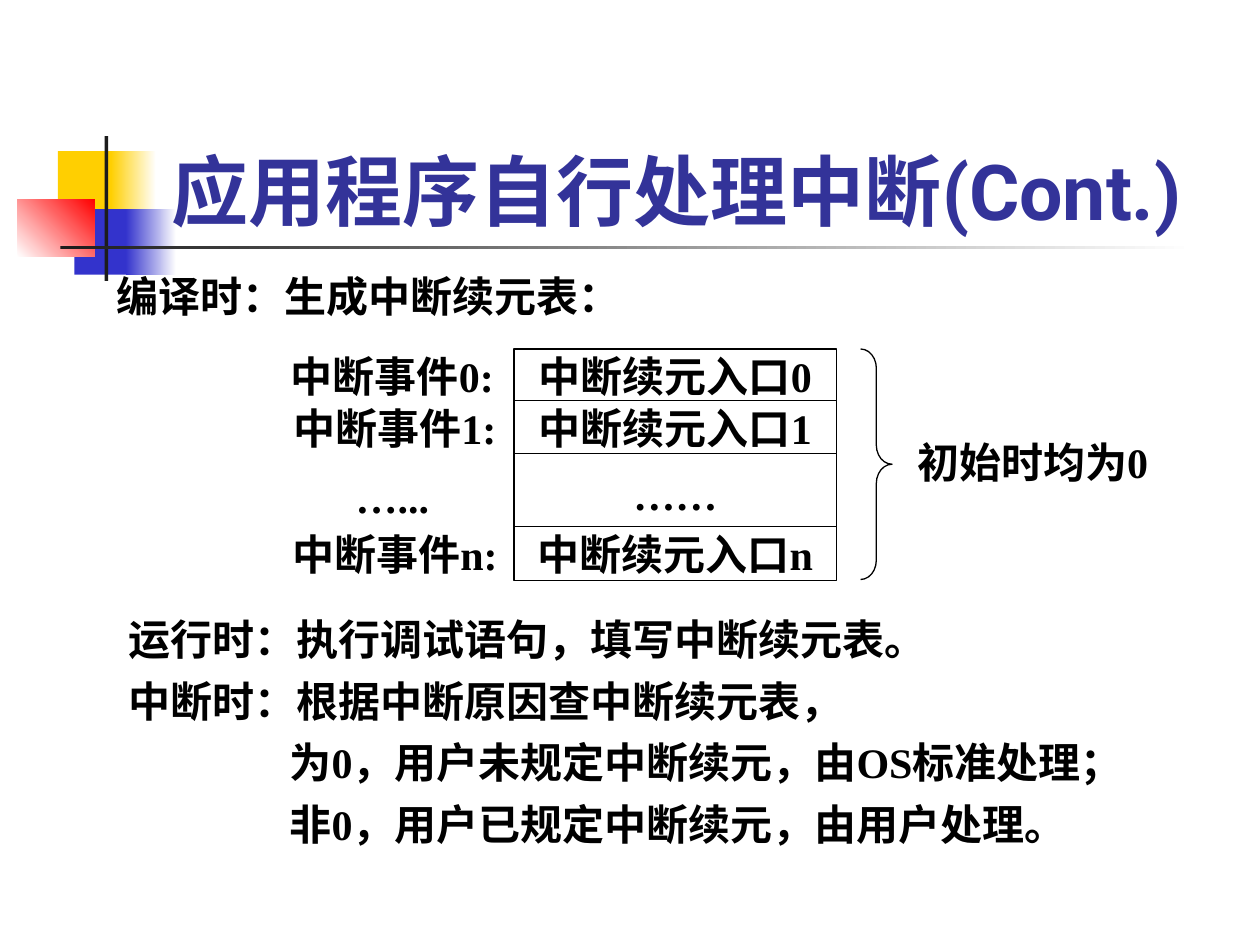
from pptx import Presentation
from pptx.dml.color import RGBColor
from pptx.enum.shapes import MSO_SHAPE as Preset
from pptx.enum.text import MSO_ANCHOR as Anchor, MSO_AUTO_SIZE as AutoSize, PP_ALIGN as Align
from pptx.util import Inches, Pt

WIDTH, HEIGHT = Inches(10), Inches(7.5)
COLUMNS, ROWS = 1000, 750
BLACK, WHITE, YELLOW, BLUE, RED, DARK = "000000", "FFFFFF", "FFCF01", "3333CC", "FF0000", "1C1C1C"
BODY = {"name": "Times New Roman", "size": Pt(24), "bold": True}
HEADING = {"name": "Roboto", "size": Pt(44), "bold": True}
CENTRED = {"vertical_anchor": Anchor.MIDDLE, "word_wrap": False}
FLOWING = {"vertical_anchor": Anchor.TOP, "word_wrap": True, "auto_size": AutoSize.SHAPE_TO_FIT_TEXT}
TITLE_FRAME = {"vertical_anchor": Anchor.BOTTOM, "word_wrap": True, "auto_size": AutoSize.NONE}

ORNAMENTS = [
    ((46, 120, 48, 52), (YELLOW,), 0),
    ((88, 120, 36, 52), (YELLOW, WHITE), 0),
    ((59, 166, 46, 52), (BLUE,), 0),
    ((100, 166, 40, 52), (BLUE, WHITE), 0),
    ((14, 158, 61, 46), (WHITE, RED), 45),
    ((83, 108, 3, 115), (DARK,), 0),
    ((48, 195, 900, 3), (DARK, WHITE), 0),
]
ENTRIES = [
    (277, 43, "中断续元入口0"),
    (318, 43, "中断续元入口1"),
    (360, 63, "……"),
    (418, 43, "中断续元入口n"),
]
EVENTS = [
    (223, 277, 43, "中断事件0:"),
    (225, 318, 43, "中断事件1:"),
    (225, 418, 43, "中断事件n:"),
    (223, 371, 47, "…..."),
]
STEPS = [
    ("运行时：执行调试语句，填写中断续元表。", 0),
    ("中断时：根据中断原因查中断续元表，", 0),
    ("为0，用户未规定中断续元，由OS标准处理；", 128),
    ("非0，用户已规定中断续元，由用户处理。", 128),
]


def rgb(code):
    """Turn a hex string into a colour."""
    return RGBColor.from_string(code)


def assign(target, values):
    """Set every attribute named in a dict of format values."""
    for name, value in values.items():
        setattr(target, name, value)


def across(columns):
    """Convert grid columns to a length."""
    return int(WIDTH * columns / COLUMNS)


def cell(left, top, width, height):
    """Convert a grid area to left, top, width and height."""
    return (across(left), int(HEIGHT * top / ROWS),
            across(width), int(HEIGHT * height / ROWS))


def add_block(slide, area, colours=(WHITE,), angle=0, outline=None, preset=Preset.RECTANGLE):
    """Add a preset shape with a solid or two-colour gradient fill."""
    block = slide.shapes.add_shape(preset, *cell(*area))
    block.shadow.inherit = False
    if len(colours) == 1:
        block.fill.solid()
        block.fill.fore_color.rgb = rgb(colours[0])
    else:
        block.fill.gradient()
        block.fill.gradient_angle = angle
        for stop, colour in zip(block.fill.gradient_stops, colours):
            stop.color.rgb = rgb(colour)
    if outline:
        block.line.color.rgb = rgb(outline)
        block.line.width = Pt(0.75)
    else:
        block.line.fill.background()
    return block


def write(holder, lines, frame_format, paragraph_format, font=BODY, colour=BLACK):
    """Write lines of (text, indent in columns) into a shape."""
    frame = holder.text_frame
    assign(frame, frame_format)
    for index, (text, indent) in enumerate(lines):
        paragraph = frame.add_paragraph() if index else frame.paragraphs[0]
        assign(paragraph, paragraph_format)
        if indent:
            paragraph._p.get_or_add_pPr().set("marL", str(across(indent)))
        run = paragraph.add_run()
        run.text = text
        assign(run.font, font)
        run.font.color.rgb = rgb(colour)


def add_label(slide, area, text, outline=None):
    """Add a white box with one centred line."""
    label = add_block(slide, area, outline=outline)
    write(label, [(text, 0)], CENTRED, {"alignment": Align.CENTER})


def add_heading(slide, text):
    """Place the title in front of the ornaments and format it."""
    title = slide.shapes.title
    slide.shapes._spTree.append(title._element)
    title.left, title.top, title.width, title.height = cell(126, 67, 852, 125)
    write(title, [(text, 0)], TITLE_FRAME, {"alignment": Align.LEFT}, HEADING, "333399")


def main():
    """Build the slide on interrupt continuations."""
    deck = Presentation()
    assign(deck, {"slide_width": WIDTH, "slide_height": HEIGHT})
    slide = deck.slides.add_slide(deck.slide_layouts[5])
    for area, colours, angle in ORNAMENTS:
        add_block(slide, area, colours, angle)
    add_heading(slide, "应用程序自行处理中断(Cont.)")

    compile_time = slide.shapes.add_textbox(*cell(83, 210, 842, 50))
    write(compile_time, [("编译时：生成中断续元表：", 0)], FLOWING, {"space_before": Pt(15)})

    for top, height, text in ENTRIES:
        add_label(slide, (408, top, 256, height), text, BLACK)
    for left, top, height, text in EVENTS:
        add_label(slide, (left, top, 177, height), text)

    steps = add_block(slide, (92, 493, 841, 185))
    write(steps, STEPS, FLOWING,
          {"alignment": Align.LEFT, "line_spacing": 0.7, "space_before": Pt(15)})

    brace = add_block(slide, (683, 277, 25, 183), outline=BLACK, preset=Preset.RIGHT_BRACE)
    brace.adjustments[0] = 0.61
    add_label(slide, (725, 327, 189, 79), "初始时均为0")
    deck.save("out.pptx")


if __name__ == "__main__":
    main()
